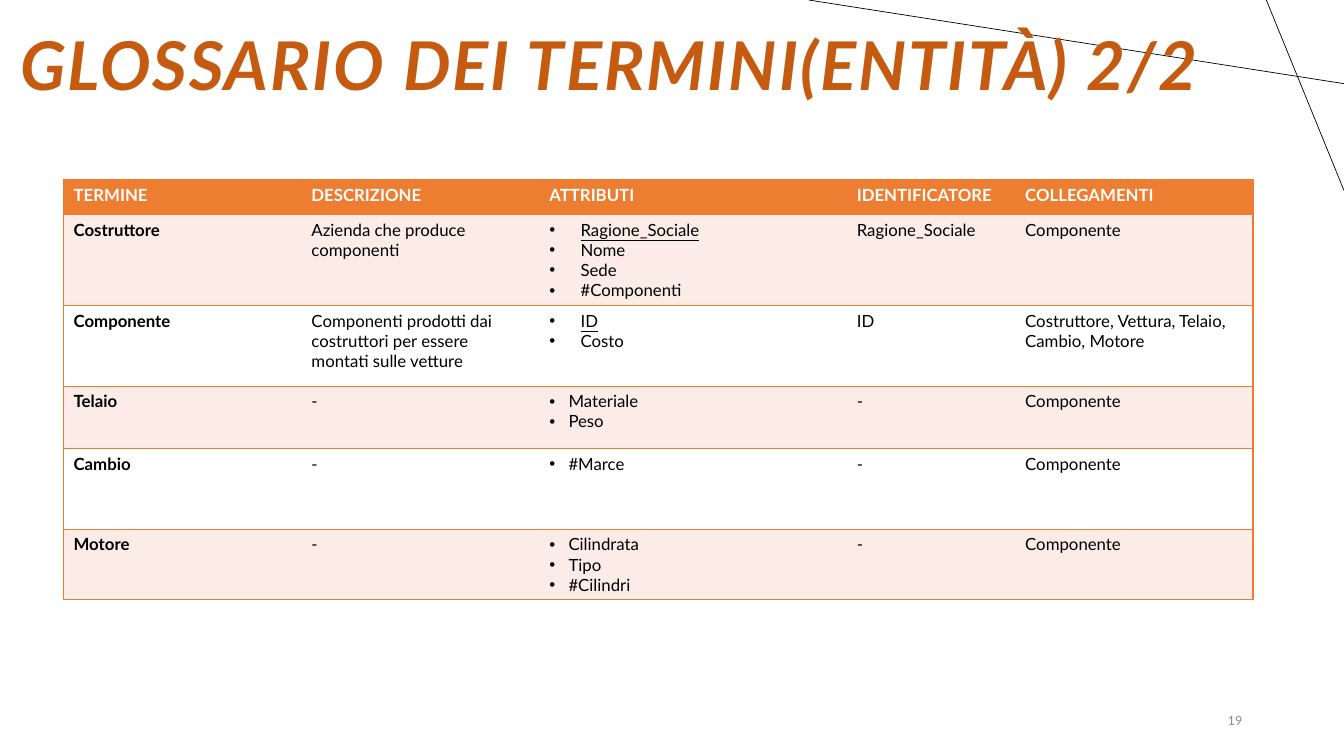
from lxml import etree
from pptx import Presentation
from pptx import util as u
from pptx.dml.color import RGBColor
from pptx.enum import shapes, text
from pptx.oxml import ns

WIDE, HIGH = u.Inches(13.33), u.Inches(7.5)
ORANGE, RUST, PINK, WHITE, BLACK, GREY = (
    "ED7D31", "C55A11", "FCECE8", "FFFFFF", "000000", "8C8C8C")

COLS = [17.7, 17.7, 22.88, 12.53, 17.7]
ROWS = [4.67, 12, 10.67, 8.27, 10.67, 9.33]
HEAD = ["TERMINE", "DESCRIZIONE", "ATTRIBUTI", "IDENTIFICATORE", "COLLEGAMENTI"]
TERMS = [
    ["Costruttore", "Azienda che produce componenti",
     ["Ragione_Sociale", "Nome", "Sede", "#Componenti"],
     "Ragione_Sociale", "Componente"],
    ["Componente",
     "Componenti prodotti dai costruttori per essere montati sulle vetture",
     ["ID", "Costo"], "ID", "Costruttore, Vettura, Telaio, Cambio, Motore"],
    ["Telaio", "-", ["Materiale", "Peso"], "-", "Componente"],
    ["Cambio", "-", ["#Marce"], "-", "Componente"],
    ["Motore", "-", ["Cilindrata", "Tipo", "#Cilindri"], "-", "Componente"],
]


def rgb(code):
    return RGBColor.from_string(code)


def across(share):
    return round(WIDE * share / 100)


def down(share):
    return round(HIGH * share / 100)


def node(base, tag, **attrs):
    return etree.SubElement(base, ns.qn(tag), attrs)


class Page:
    font = "Lato"

    def __init__(self, deck):
        self.slide = deck.slides.add_slide(deck.slide_layouts[6])

    def style(self, para, size, color, bold=False):
        for run in para.runs:
            font = run.font
            font.name, font.size, font.bold = self.font, u.Pt(size), bold
            font.color.rgb = rgb(color)

    def line(self, x1, y1, x2, y2):
        link = self.slide.shapes.add_connector(
            shapes.MSO_CONNECTOR.STRAIGHT,
            across(x1), down(y1), across(x2), down(y2))
        link.line.color.rgb = rgb(BLACK)
        link.line.width = u.Pt(0.5)
        node(link._element.spPr, "a:effectLst")

    def label(self, x, y, w, h, words, size, color, anchor, bold=False):
        box = self.slide.shapes.add_textbox(across(x), down(y), across(w), down(h))
        frame = box.text_frame
        frame.word_wrap = True
        frame.vertical_anchor = anchor
        frame.text = words
        para = frame.paragraphs[0]
        self.style(para, size, color, bold)
        return para

    def bullet(self, para, indent):
        props = para._p.get_or_add_pPr()
        gap = u.Inches(indent)
        props.set("marL", str(gap))
        props.set("indent", str(-gap))
        node(props, "a:buFont", typeface="Arial")
        node(props, "a:buChar", char="•")

    def edges(self, cell, sides):
        props = cell._tc.get_or_add_tcPr()
        for side in "LRTB":
            edge = node(props, f"a:ln{side}", w=str(u.Pt(1)))
            if side in sides:
                node(node(edge, "a:solidFill"), "a:srgbClr", val=ORANGE)
            else:
                node(edge, "a:noFill")

    def cell(self, cell, value, fill, color, bold, sides):
        self.edges(cell, sides)
        cell.fill.solid()
        cell.fill.fore_color.rgb = rgb(fill)
        listed = isinstance(value, list)
        cell.text_frame.text = "\n".join(value) if listed else value
        for para in cell.text_frame.paragraphs:
            self.style(para, 12, color, bold)

    def table(self, x, y, cols, rows, data):
        grid = self.slide.shapes.add_table(
            len(rows), len(cols), across(x), down(y),
            across(sum(cols)), down(sum(rows))).table
        grid.first_row = grid.horz_banding = False
        for col, share in zip(grid.columns, cols):
            col.width = across(share)
        for row, share in zip(grid.rows, rows):
            row.height = down(share)
        for r, items in enumerate(data):
            fill = ORANGE if r == 0 else PINK if r % 2 else WHITE
            for c, value in enumerate(items):
                sides = "TB" + "L" * (c == 0) + "R" * (c == len(cols) - 1)
                self.cell(grid.cell(r, c), value, fill,
                          BLACK if r else WHITE, r == 0 or c == 0, sides)
        return grid


def main():
    deck = Presentation()
    deck.slide_width, deck.slide_height = WIDE, HIGH
    page = Page(deck)
    page.line(100, 11.07, 60.17, 0)
    page.line(94.22, 0, 100, 25.2)

    number = page.label(70.67, 92.67, 22.5, 5.33, "19", 9, GREY,
                        text.MSO_ANCHOR.MIDDLE)
    number.alignment = text.PP_ALIGN.RIGHT

    grid = page.table(4.73, 23.73, COLS, ROWS, [HEAD] + TERMS)
    for r, term in enumerate(TERMS, 1):
        paras = grid.cell(r, 2).text_frame.paragraphs
        keyed = term[2][0] == term[3]
        for para in paras:
            page.bullet(para, 0.31 if keyed else 0.19)
        if keyed:
            paras[0].runs[0].font.underline = True

    title = page.label(0.75, 1.6, 93.7, 12.93,
                       "GLOSSARIO DEI TERMINI(ENTITÀ) 2/2", 48, RUST,
                       text.MSO_ANCHOR.BOTTOM, True)
    title.line_spacing = 0.9
    run = title.runs[0]
    run.font.italic = True
    run._r.get_or_add_rPr().set("spc", "150")
    deck.save("out.pptx")


if __name__ == "__main__":
    main()
